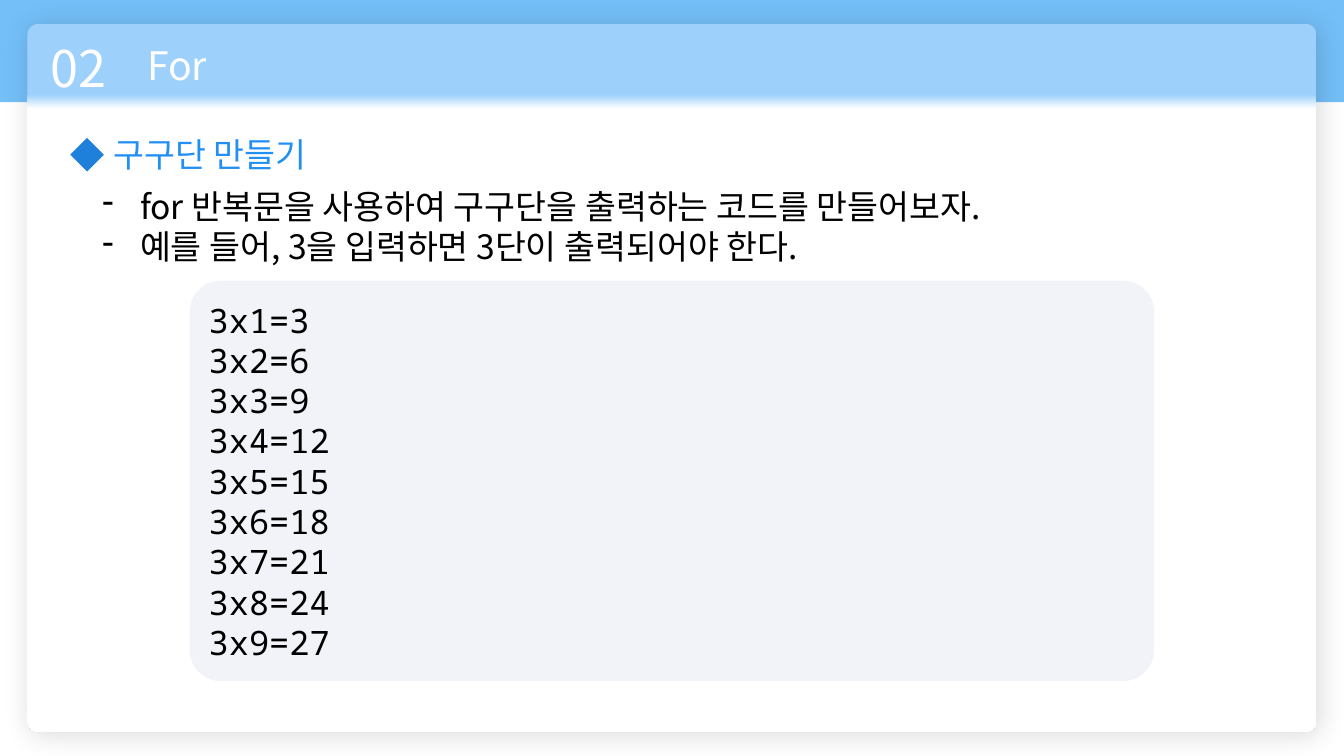
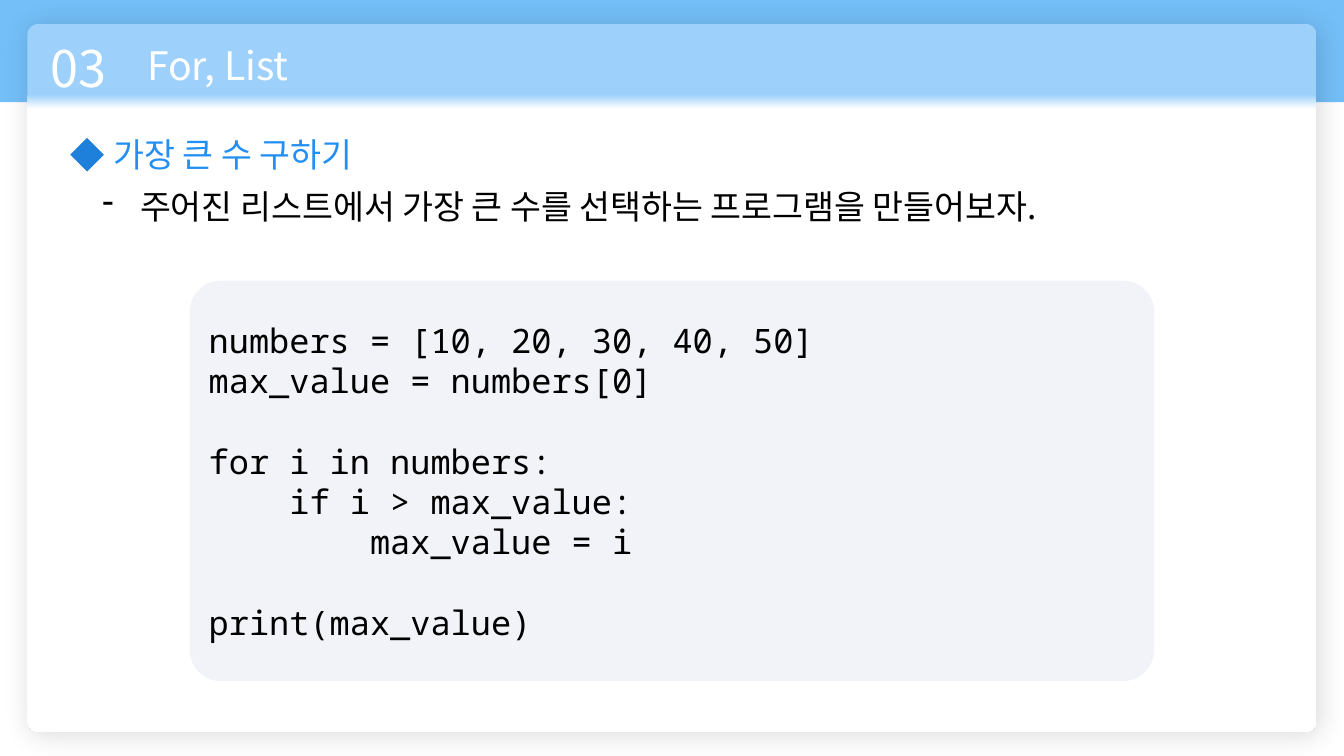
from copy import deepcopy

from pptx import Presentation
from pptx.dml.color import RGBColor
from pptx.enum.shapes import MSO_SHAPE as Shape
from pptx.enum.text import MSO_ANCHOR as Anchor, PP_ALIGN as Align
from pptx.oxml.ns import qn
from pptx.oxml.xmlchemy import OxmlElement
from pptx.util import Pt

WHITE = RGBColor(0xFF, 0xFF, 0xFF)
BLACK = RGBColor(0x00, 0x00, 0x00)
BAND_BLUE = RGBColor(0x74, 0xBF, 0xF8)
CARD_BLUE = RGBColor(0x9D, 0xD1, 0xFB)
HEADING_BLUE = RGBColor(0x22, 0x8F, 0xF4)
DIAMOND_BLUE = RGBColor(0x1F, 0x80, 0xDB)
CODE_GRAY = RGBColor(0xF2, 0xF3, 0xF9)

SANS = "Noto Sans CJK KR"
MONO = "Noto Sans Mono"
CODE_LINE = 28.8
BULLET_INDENT = 27

PAGES = [
    {
        "number": "02",
        "title": "For",
        "heading": "구구단 만들기",
        "points": [
            "for 반복문을 사용하여 구구단을 출력하는 코드를 만들어보자.",
            "예를 들어, 3을 입력하면 3단이 출력되어야 한다.",
        ],
        "code": [[f"3x{factor}={3 * factor}" for factor in range(1, 10)]],
    },
    {
        "number": "03",
        "title": "For, List",
        "heading": "가장 큰 수 구하기",
        "points": ["주어진 리스트에서 가장 큰 수를 선택하는 프로그램을 만들어보자."],
        "code": [
            ["numbers = [10, 20, 30, 40, 50]", "max_value = numbers[0]"],
            ["for i in numbers:", "    if i > max_value:", "        max_value = i"],
            ["print(max_value)"],
        ],
    },
]


def add_child(parent, tag, **attributes):
    child = OxmlElement(tag)
    for name, value in attributes.items():
        child.set(name, str(value))
    parent.append(child)
    return child


def add_block(page, kind, left, top, width, height, color=None, corner=None):
    block = page.shapes.add_shape(kind, Pt(left), Pt(top), Pt(width), Pt(height))
    block.shadow.inherit = False
    block.line.fill.background()
    if color is not None:
        block.fill.solid()
        block.fill.fore_color.rgb = color
    if corner is not None:
        block.adjustments[0] = corner
    return block


def write(para, text, size=24, color=BLACK, font=SANS, bullet=None, before=0):
    para.alignment = Align.LEFT
    if before:
        para.space_before = Pt(before)
    if bullet:
        layout = para._p.get_or_add_pPr()
        layout.set("marL", str(Pt(BULLET_INDENT)))
        layout.set("indent", str(-Pt(BULLET_INDENT)))
        add_child(layout, "a:buChar", char=bullet)
    span = para.add_run()
    span.text = text
    span.font.size = Pt(size)
    span.font.name = font
    span.font.color.rgb = color
    add_child(span._r.get_or_add_rPr(), "a:ea", typeface=font)


def write_lines(frame, lines, **style):
    frame.word_wrap = True
    for index, (text, before) in enumerate(lines):
        para = frame.add_paragraph() if index else frame.paragraphs[0]
        write(para, text, before=before, **style)


def add_text(page, lines, left, top, width, height, **style):
    box = page.shapes.add_textbox(Pt(left), Pt(top), Pt(width), Pt(height))
    write_lines(box.text_frame, [(text, 0) for text in lines], **style)


def add_card(page):
    card = add_block(page, Shape.ROUNDED_RECTANGLE, 19.5, 17, 921, 506, corner=0.016)
    card.fill.gradient()
    card.fill.gradient_angle = 270
    properties = card._element.spPr
    stop_list = properties.find(".//" + qn("a:gsLst"))
    stop_list.append(deepcopy(stop_list[-1]))
    stops = [(0.1, CARD_BLUE), (0.12, WHITE), (1, WHITE)]
    for stop, (position, color) in zip(card.fill.gradient_stops, stops):
        stop.position = position
        stop.color.rgb = color
    shadow = add_child(properties.find(qn("a:effectLst")), "a:outerShdw",
                       blurRad=Pt(20), dist=Pt(3), dir=45 * 60000,
                       algn="tl", rotWithShape=0)
    shade = add_child(shadow, "a:srgbClr", val=BLACK)
    add_child(shade, "a:alpha", val=14000)


def add_code(page, groups):
    panel = add_block(page, Shape.ROUNDED_RECTANGLE, 135.5, 200.5, 689, 286,
                      color=CODE_GRAY, corner=0.078)
    panel.text_frame.vertical_anchor = Anchor.MIDDLE
    lines = [
        (text, CODE_LINE if group_index and not line_index else 0)
        for group_index, group in enumerate(groups)
        for line_index, text in enumerate(group)
    ]
    write_lines(panel.text_frame, lines, font=MONO)


def build_page(deck, content):
    page = deck.slides.add_slide(deck.slide_layouts[6])
    add_block(page, Shape.RECTANGLE, 0, 0, 960, 73, color=BAND_BLUE)
    add_card(page)
    add_text(page, [content["number"]], 29, 23, 73, 51, size=36, color=WHITE)
    add_text(page, [content["title"]], 98, 26, 353, 41, size=28, color=WHITE)
    add_text(page, [content["heading"]], 74, 92, 399, 36, color=HEADING_BLUE)
    add_block(page, Shape.DIAMOND, 50.2, 98.5, 24, 24, color=DIAMOND_BLUE)
    points = content["points"]
    add_text(page, points, 66, 129, 795, 7 + 29 * len(points), bullet="-")
    add_code(page, content["code"])


def main():
    deck = Presentation()
    deck.slide_width, deck.slide_height = Pt(960), Pt(540)
    for content in PAGES:
        build_page(deck, content)
    deck.save("out.pptx")


if __name__ == "__main__":
    main()
